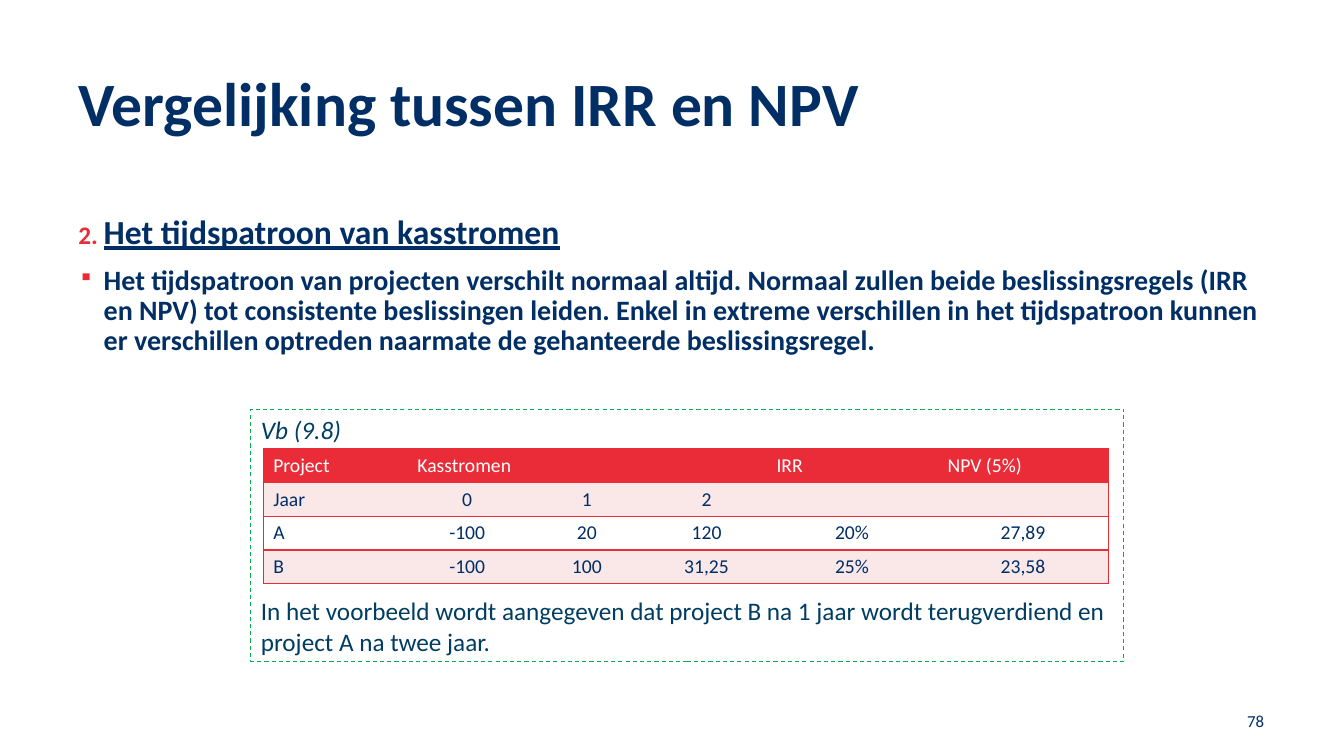
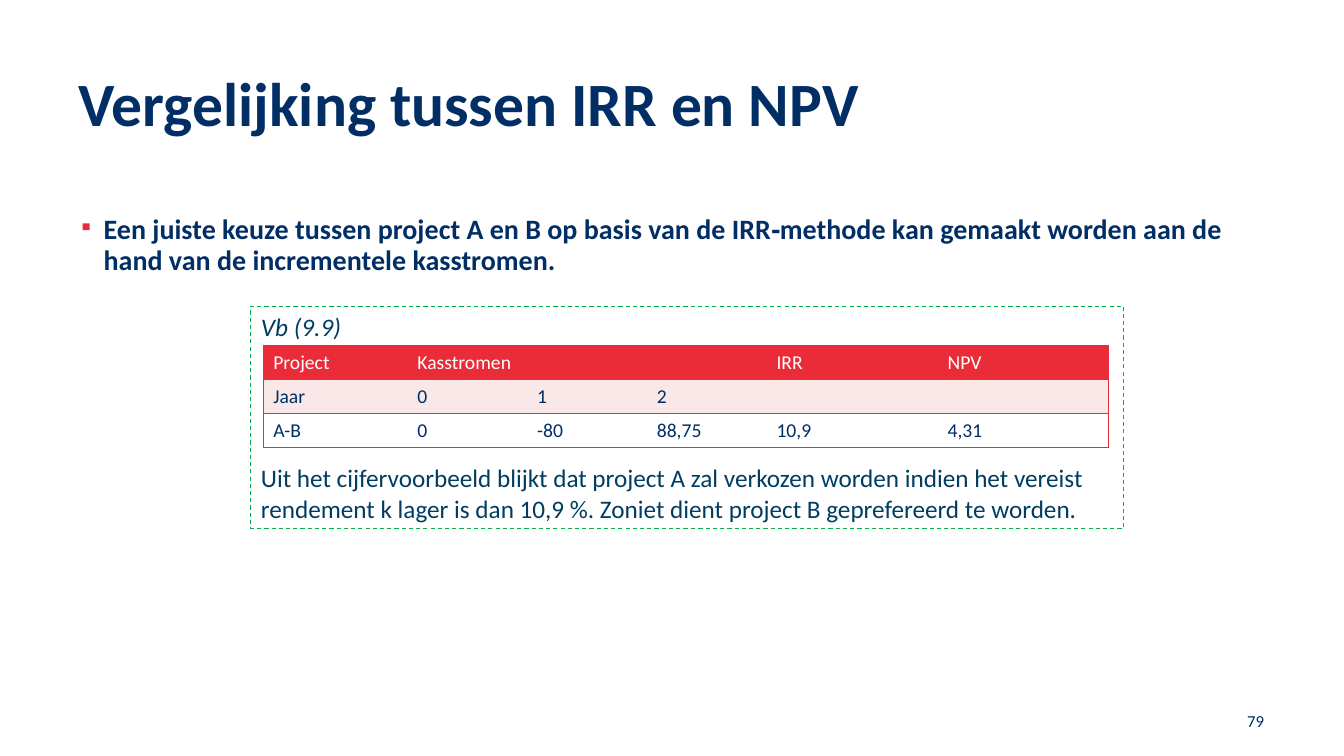
from dataclasses import dataclass

from lxml import etree
from pptx import Presentation
from pptx.dml.color import RGBColor
from pptx.enum.dml import MSO_LINE
from pptx.enum.shapes import MSO_SHAPE
from pptx.enum.text import MSO_ANCHOR, PP_ALIGN
from pptx.oxml.ns import qn
from pptx.util import Pt

DASH = MSO_LINE.DASH
RECTANGLE = MSO_SHAPE.RECTANGLE
TOP, MIDDLE, BOTTOM = MSO_ANCHOR.TOP, MSO_ANCHOR.MIDDLE, MSO_ANCHOR.BOTTOM
LEFT, CENTER, RIGHT = PP_ALIGN.LEFT, PP_ALIGN.CENTER, PP_ALIGN.RIGHT
PLAIN_TABLE_STYLE = "{2D5ABB26-0587-4C30-8999-92F81FD0307C}"


@dataclass(frozen=True)
class Theme:
    font: str = "Calibri"
    navy: str = "002E65"
    petrol: str = "003D62"
    red: str = "EA2C38"
    pink: str = "FAE7E8"
    white: str = "FFFFFF"
    green: str = "00B050"
    title_size: float = 44
    heading_size: float = 24
    body_size: float = 20
    example_size: float = 18
    table_size: float = 14
    number_size: float = 12
    line_spacing: float = 0.9
    space_before: float = 10
    indent: float = 18
    rule: float = 0.96


THEME = Theme()
SLIDE_SIZE = (960, 540)
TITLE_BOX = (49, 49, 861, 84)
BODY_BOX = (49, 150.5, 861, 340)
NUMBER_BOX = (694, 500.5, 216, 29)
EXAMPLE_LEFT, EXAMPLE_WIDTH = 179.3, 623.5
TABLE_INSET, TABLE_OFFSET = 8.7, 28.2
COLUMN_WIDTHS = (103, 85.5, 85.5, 85.5, 122.25, 122.25)
ROW_HEIGHT = 24.1
CONCLUSION_HEIGHT = 51


def add_run(paragraph, text, size, color, bold=False, italic=False, underline=False):
    run = paragraph.add_run()
    run.text = text
    font = run.font
    font.name, font.size = THEME.font, Pt(size)
    font.color.rgb = RGBColor.from_string(color)
    font.bold, font.italic, font.underline = bold, italic, underline


def add_text_box(slide, box, anchor=TOP):
    frame = slide.shapes.add_textbox(*map(Pt, box)).text_frame
    frame.word_wrap = True
    frame.vertical_anchor = anchor
    return frame


def add_bullet(paragraph, number=None):
    """Give a hanging square bullet, or a number if one is passed."""
    properties = paragraph._p.get_or_add_pPr()
    properties.set("marL", str(Pt(THEME.indent)))
    properties.set("indent", str(-Pt(THEME.indent)))
    color = etree.SubElement(properties, qn("a:buClr"))
    etree.SubElement(color, qn("a:srgbClr"), val=THEME.red)
    etree.SubElement(properties, qn("a:buSzPct"), val="75000")
    if number:
        etree.SubElement(properties, qn("a:buAutoNum"),
                         type="arabicPeriod", startAt=str(number))
    else:
        etree.SubElement(properties, qn("a:buChar"), char="▪")


def add_title(slide, box, title):
    paragraph = add_text_box(slide, box).paragraphs[0]
    paragraph.line_spacing = THEME.line_spacing
    add_run(paragraph, title, THEME.title_size, THEME.navy, bold=True)


def add_body(slide, box, point, heading=None):
    """Place the point, under a (number, text) heading if there is one."""
    frame = add_text_box(slide, box)
    paragraph = frame.paragraphs[0]
    if heading:
        number, heading_text = heading
        add_bullet(paragraph, number)
        paragraph.line_spacing = THEME.line_spacing
        add_run(paragraph, heading_text, THEME.heading_size, THEME.navy,
                bold=True, underline=True)
        paragraph = frame.add_paragraph()
    add_bullet(paragraph)
    paragraph.line_spacing = THEME.line_spacing
    if heading:
        paragraph.space_before = Pt(THEME.space_before)
    add_run(paragraph, point, THEME.body_size, THEME.navy, bold=True)


def add_page_number(slide, box, number):
    paragraph = add_text_box(slide, box, MIDDLE).paragraphs[0]
    paragraph.alignment = RIGHT
    add_run(paragraph, str(number), THEME.number_size, THEME.navy)


def set_borders(cell, sides):
    properties = cell._tc.get_or_add_tcPr()
    for side in sides:
        line = etree.SubElement(properties, qn(f"a:ln{side}"), w=str(Pt(THEME.rule)))
        fill = etree.SubElement(line, qn("a:solidFill"))
        etree.SubElement(fill, qn("a:srgbClr"), val=THEME.red)


def fill_cell(cell, text, color, background, sides, alignment):
    set_borders(cell, sides)
    cell.fill.solid()
    cell.fill.fore_color.rgb = RGBColor.from_string(background)
    paragraph = cell.text_frame.paragraphs[0]
    paragraph.alignment = alignment
    if text:
        add_run(paragraph, text, THEME.table_size, color)
    else:
        etree.SubElement(paragraph._p, qn("a:endParaRPr"), sz=str(THEME.table_size * 100))


def add_cash_flow_table(slide, left, top, rows, value_alignment):
    table = slide.shapes.add_table(
        len(rows), len(COLUMN_WIDTHS), Pt(left), Pt(top),
        Pt(sum(COLUMN_WIDTHS)), Pt(ROW_HEIGHT * len(rows))).table
    table._tbl.tblPr.find(qn("a:tableStyleId")).text = PLAIN_TABLE_STYLE
    for column, width in zip(table.columns, COLUMN_WIDTHS):
        column.width = Pt(width)
    last = len(COLUMN_WIDTHS) - 1
    for r, values in enumerate(rows):
        table.rows[r].height = Pt(ROW_HEIGHT)
        if r == 0:
            color, background = THEME.white, THEME.red
        else:
            color, background = THEME.navy, THEME.pink if r % 2 else THEME.white
        for c, value in enumerate(values):
            sides = ["L"] * (c == 0) + ["R"] * (c == last) + ["T", "B"]
            alignment = value_alignment if r and c else LEFT
            fill_cell(table.cell(r, c), value, color, background, sides, alignment)
    table.cell(0, 1).merge(table.cell(0, 2))


def add_example(slide, box, caption, rows, value_alignment, conclusion):
    """Place a dashed frame with a caption, a table and a conclusion."""
    left, top, width, height = box
    frame = slide.shapes.add_shape(RECTANGLE, *map(Pt, box))
    frame.shadow.inherit = False
    frame.fill.background()
    frame.line.color.rgb = RGBColor.from_string(THEME.green)
    frame.line.width = Pt(0)
    frame.line.dash_style = DASH
    frame.text_frame.vertical_anchor = TOP
    paragraph = frame.text_frame.paragraphs[0]
    paragraph.alignment = LEFT
    add_run(paragraph, caption, THEME.example_size, THEME.petrol, italic=True)

    add_cash_flow_table(slide, left + TABLE_INSET, top + TABLE_OFFSET, rows, value_alignment)

    conclusion_box = (left, top + height - CONCLUSION_HEIGHT, width, CONCLUSION_HEIGHT)
    paragraph = add_text_box(slide, conclusion_box, BOTTOM).paragraphs[0]
    add_run(paragraph, conclusion, THEME.example_size, THEME.petrol)


def add_comparison_slide(deck, number, point, example_top, example_height,
                         example, heading=None):
    slide = deck.slides.add_slide(deck.slide_layouts[6])
    add_title(slide, TITLE_BOX, "Vergelijking tussen IRR en NPV")
    add_body(slide, BODY_BOX, point, heading)
    example_box = (EXAMPLE_LEFT, example_top, EXAMPLE_WIDTH, example_height)
    add_example(slide, example_box, **example)
    add_page_number(slide, NUMBER_BOX, number)


def main():
    deck = Presentation()
    deck.slide_width, deck.slide_height = map(Pt, SLIDE_SIZE)
    add_comparison_slide(
        deck, 78,
        heading=(2, "Het tijdspatroon van kasstromen"),
        point="Het tijdspatroon van projecten verschilt normaal altijd. Normaal zullen "
              "beide beslissingsregels (IRR en NPV) tot consistente beslissingen leiden. "
              "Enkel in extreme verschillen in het tijdspatroon kunnen er verschillen "
              "optreden naarmate de gehanteerde beslissingsregel.",
        example_top=292.3, example_height=180,
        example=dict(
            caption="Vb (9.8)",
            rows=[("Project", "Kasstromen", "", "", "IRR", "NPV (5%)"),
                  ("Jaar", "0", "1", "2", "", ""),
                  ("A", "-100", "20", "120", "20%", "27,89"),
                  ("B", "-100", "100", "31,25", "25%", "23,58")],
            value_alignment=CENTER,
            conclusion="In het voorbeeld wordt aangegeven dat project B na 1 jaar wordt "
                       "terugverdiend en project A na twee jaar."))
    add_comparison_slide(
        deck, 79,
        point="Een juiste keuze tussen project A en B op basis van de IRR‑methode kan "
              "gemaakt worden aan de hand van de incrementele kasstromen.",
        example_top=218.9, example_height=158.4,
        example=dict(
            caption="Vb (9.9)",
            rows=[("Project", "Kasstromen", "", "", "IRR", "NPV"),
                  ("Jaar", "0", "1", "2", "", ""),
                  ("A-B", "0", "-80", "88,75", "10,9", "4,31")],
            value_alignment=LEFT,
            conclusion="Uit het cijfervoorbeeld blijkt dat project A zal verkozen worden "
                       "indien het vereist rendement k lager is dan 10,9 %. Zoniet dient "
                       "project B geprefereerd te worden."))
    deck.save("out.pptx")


if __name__ == "__main__":
    main()
